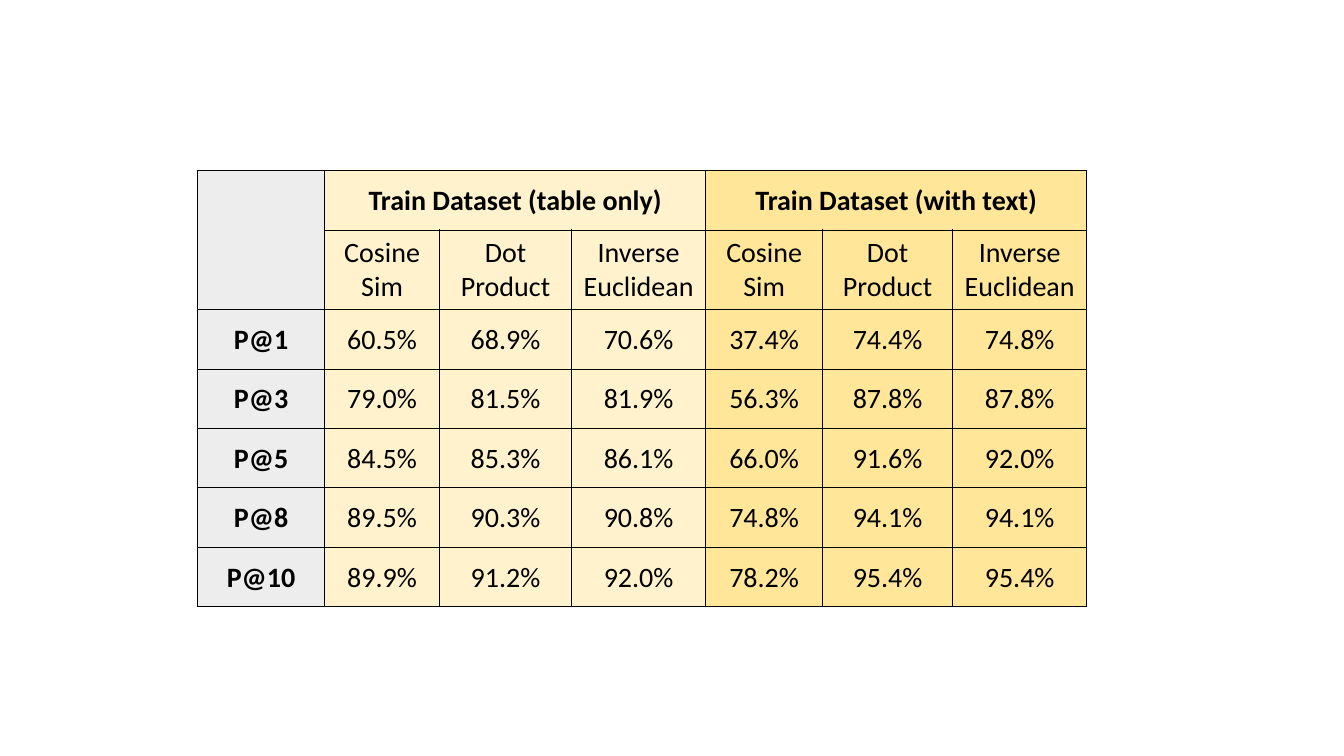
import pptx
import pptx.util
import pptx.dml.color
import pptx.enum.text
import pptx.oxml
import pptx.oxml.ns

Inches = pptx.util.Inches

datasets = ["Train Dataset (table only)", "Train Dataset (with text)"]
measures = ["Cosine Sim", "Dot Product", "Inverse Euclidean"]
precision = {
    "P@1": [60.5, 68.9, 70.6, 37.4, 74.4, 74.8],
    "P@3": [79.0, 81.5, 81.9, 56.3, 87.8, 87.8],
    "P@5": [84.5, 85.3, 86.1, 66.0, 91.6, 92.0],
    "P@8": [89.5, 90.3, 90.8, 74.8, 94.1, 94.1],
    "P@10": [89.9, 91.2, 92.0, 78.2, 95.4, 95.4],
}
label_fill = "EDEDED"
dataset_fills = ["FFF2CC", "FFE699"]
column_widths = [1.26, 1.14, 1.31, 1.33, 1.16, 1.29, 1.33]
row_heights = [0.59, 0.79] + [0.59] * len(precision)

span = len(measures)
dataset_row = [""]
for dataset in datasets:
    dataset_row += [dataset] + [""] * (span - 1)
rows = [dataset_row, [""] + measures * len(datasets)]
for label, values in precision.items():
    rows.append([label] + [f"{value:.1f}%" for value in values])


def color(code):
    return pptx.dml.color.RGBColor.from_string(code)


def add_borders(cell):
    properties = cell._tc.get_or_add_tcPr()
    for side in ("lnL", "lnR", "lnT", "lnB"):
        properties.append(pptx.oxml.parse_xml(
            f'<a:{side} {pptx.oxml.ns.nsdecls("a")} w="{pptx.util.Pt(0.5)}">'
            f'<a:solidFill><a:srgbClr val="000000"/></a:solidFill></a:{side}>'))


def format_cell(cell, text, fill, bold):
    add_borders(cell)
    cell.fill.solid()
    cell.fill.fore_color.rgb = color(fill)
    cell.margin_left = cell.margin_right = cell.margin_top = Inches(0.01)
    cell.margin_bottom = 0
    cell.vertical_anchor = pptx.enum.text.MSO_ANCHOR.MIDDLE
    cell.text = text
    para = cell.text_frame.paragraphs[0]
    para.alignment = pptx.enum.text.PP_ALIGN.CENTER
    para.font.name = "Calibri"
    para.font.size = pptx.util.Pt(20)
    para.font.bold = bold
    para.font.color.rgb = color("000000")


deck = pptx.Presentation()
deck.slide_width, deck.slide_height = Inches(13.33), Inches(7.5)
page = deck.slides.add_slide(deck.slide_layouts.get_by_name("Blank"))

table = page.shapes.add_table(
    len(rows), len(column_widths), Inches(1.96), Inches(1.69),
    Inches(sum(column_widths)), Inches(sum(row_heights))).table
for column, width in zip(table.columns, column_widths):
    column.width = Inches(width)
for row, height in zip(table.rows, row_heights):
    row.height = Inches(height)

for row_index, texts in enumerate(rows):
    for column_index, text in enumerate(texts):
        is_label = column_index == 0
        fill = label_fill if is_label else dataset_fills[(column_index - 1) // span]
        format_cell(table.cell(row_index, column_index), text, fill,
                    is_label or row_index == 0)

table.cell(0, 0).merge(table.cell(1, 0))
for first in range(1, len(column_widths), span):
    table.cell(0, first).merge(table.cell(0, first + span - 1))

deck.save("out.pptx")
